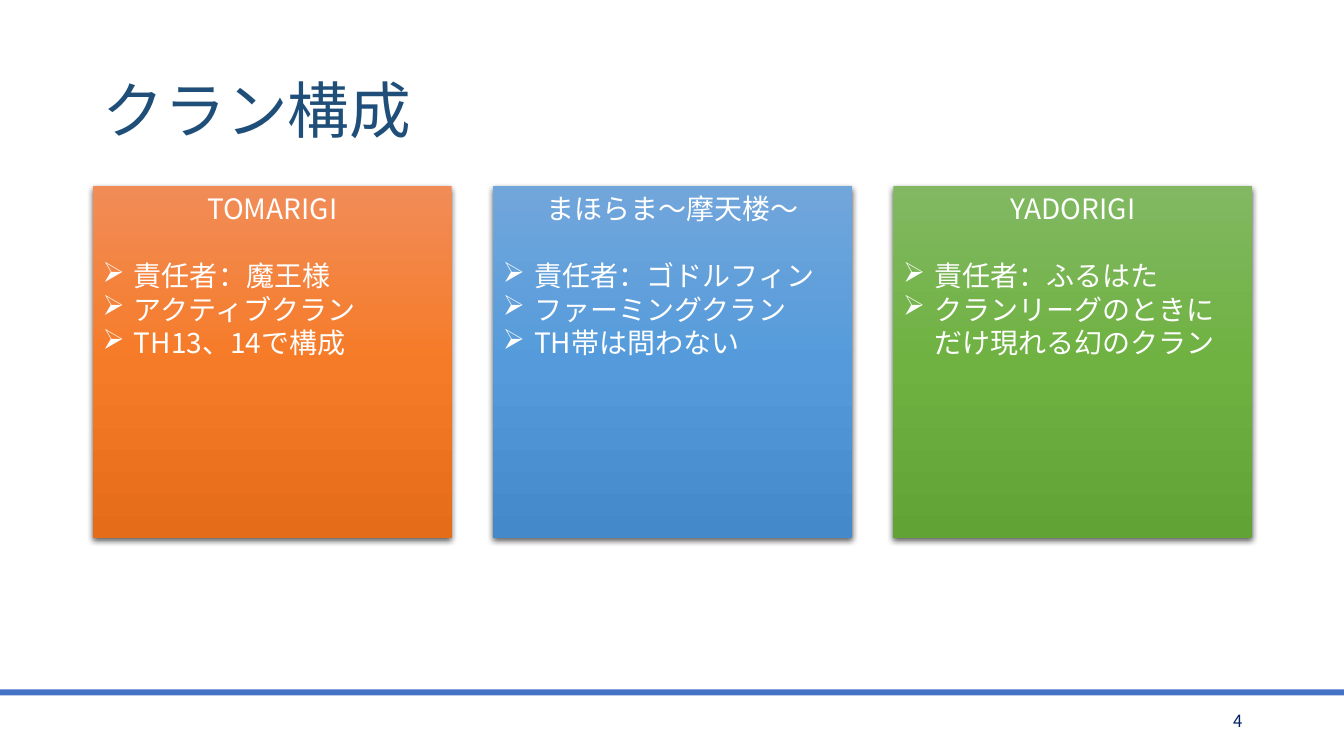
from pptx import Presentation
from pptx.dml.color import RGBColor
from pptx.enum.shapes import MSO_SHAPE
from pptx.enum.text import MSO_ANCHOR, PP_ALIGN
from pptx.oxml import parse_xml
from pptx.oxml.ns import nsdecls, qn
from pptx.util import Inches, Pt

SLIDE_WIDTH, SLIDE_HEIGHT = 13.33, 7.5
MARGIN, GAP, COLUMNS = 0.92, 0.41, 3
CONTENT_WIDTH = 11.5
COLUMN_WIDTH = (CONTENT_WIDTH - GAP * (COLUMNS - 1)) / COLUMNS
TITLE_TOP, CARD_TOP, CARD_HEIGHT = 0.4, 1.85, 3.49
NUMBER_WIDTH = 3

CARDS = [
    ("TOMARIGI", ["責任者：魔王様", "アクティブクラン", "TH13、14で構成"],
     ["F18C57", "F67B28", "E56C19"]),
    ("まほらま〜摩天楼〜", ["責任者：ゴドルフィン", "ファーミングクラン", "TH帯は問わない"],
     ["71A6DB", "559BDB", "448ACA"]),
    ("YADORIGI", ["責任者：ふるはた", "クランリーグのときにだけ現れる幻のクラン"],
     ["81B861", "6FB242", "62A336"]),
]


def color(value):
    return RGBColor.from_string(value)


class SlideBuilder:
    font_name = "Noto Sans CJK JP"
    body_size = 20
    bullet_indent = 0.31

    def __init__(self, slide):
        self.slide = slide

    def set_text(self, paragraph, text, size, hex_color, align=PP_ALIGN.LEFT):
        paragraph.text = text
        paragraph.alignment = align
        font = paragraph.font
        font.size = Pt(size)
        font.color.rgb = color(hex_color)
        font.name = self.font_name
        properties = paragraph._p.pPr.find(qn("a:defRPr"))
        properties.append(parse_xml(
            f'<a:ea {nsdecls("a")} typeface="{self.font_name}"/>'))

    def title(self, text):
        shape = self.slide.shapes.title
        shape.left, shape.top = Inches(MARGIN), Inches(TITLE_TOP)
        shape.width = Inches(CONTENT_WIDTH)
        shape.height = Inches(CARD_TOP - TITLE_TOP)
        shape.text_frame.vertical_anchor = MSO_ANCHOR.MIDDLE
        paragraph = shape.text_frame.paragraphs[0]
        self.set_text(paragraph, text, 44, "1F4E79")
        paragraph.line_spacing = 0.9

    def rectangle(self, left, top, width, height):
        shape = self.slide.shapes.add_shape(
            MSO_SHAPE.RECTANGLE, Inches(left), Inches(top), Inches(width), Inches(height))
        shape.shadow.inherit = False
        shape.line.fill.background()
        return shape

    def footer_bar(self, top, height, hex_color):
        shape = self.rectangle(0, top, SLIDE_WIDTH, height)
        shape.fill.solid()
        shape.fill.fore_color.rgb = color(hex_color)

    def page_number(self, text, top, height):
        left = MARGIN + CONTENT_WIDTH - NUMBER_WIDTH
        shape = self.slide.shapes.add_textbox(
            Inches(left), Inches(top), Inches(NUMBER_WIDTH), Inches(height))
        frame = shape.text_frame
        frame.word_wrap = True
        frame.vertical_anchor = MSO_ANCHOR.MIDDLE
        self.set_text(frame.paragraphs[0], text, 12, "002060", PP_ALIGN.RIGHT)

    def gradient(self, shape, hex_colors):
        step = 100000 // (len(hex_colors) - 1)
        stops = "".join(
            f'<a:gs pos="{index * step}"><a:srgbClr val="{value}"/></a:gs>'
            for index, value in enumerate(hex_colors))
        shape._element.spPr.find(qn("a:prstGeom")).addnext(parse_xml(
            f'<a:gradFill {nsdecls("a")} rotWithShape="1"><a:gsLst>{stops}</a:gsLst>'
            '<a:lin ang="5400000" scaled="0"/></a:gradFill>'))

    def shadow(self, shape):
        shape._element.spPr.find(qn("a:effectLst")).append(parse_xml(
            f'<a:outerShdw {nsdecls("a")} blurRad="{Pt(4.5)}" dist="{Pt(1.5)}" '
            'dir="5400000" algn="ctr" rotWithShape="0"><a:srgbClr val="000000">'
            '<a:alpha val="63000"/></a:srgbClr></a:outerShdw>'))

    def bullet(self, paragraph):
        properties = paragraph._p.pPr
        indent = Inches(self.bullet_indent)
        properties.set("marL", str(indent))
        properties.set("indent", str(-indent))
        properties.find(qn("a:defRPr")).addprevious(
            parse_xml(f'<a:buChar {nsdecls("a")} char="➢"/>'))

    def card(self, column, heading, items, hex_colors):
        left = MARGIN + column * (COLUMN_WIDTH + GAP)
        shape = self.rectangle(left, CARD_TOP, COLUMN_WIDTH, CARD_HEIGHT)
        self.gradient(shape, hex_colors)
        self.shadow(shape)
        frame = shape.text_frame
        frame.word_wrap = True
        frame.vertical_anchor = MSO_ANCHOR.TOP
        paragraph = frame.paragraphs[0]
        self.set_text(paragraph, heading, self.body_size, "FFFFFF", PP_ALIGN.CENTER)
        paragraph.space_after = Pt(24)
        for item in items:
            paragraph = frame.add_paragraph()
            self.set_text(paragraph, item, self.body_size, "FFFFFF")
            self.bullet(paragraph)


presentation = Presentation()
presentation.slide_width = Inches(SLIDE_WIDTH)
presentation.slide_height = Inches(SLIDE_HEIGHT)
title_only = presentation.slide_layouts.get_by_name("Title Only")
builder = SlideBuilder(presentation.slides.add_slide(title_only))

builder.footer_bar(6.84, 0.06, "4472C4")
builder.title("クラン構成")
builder.page_number("4", 6.95, 0.4)
for column, (heading, items, hex_colors) in enumerate(CARDS):
    builder.card(column, heading, items, hex_colors)

presentation.save("out.pptx")
